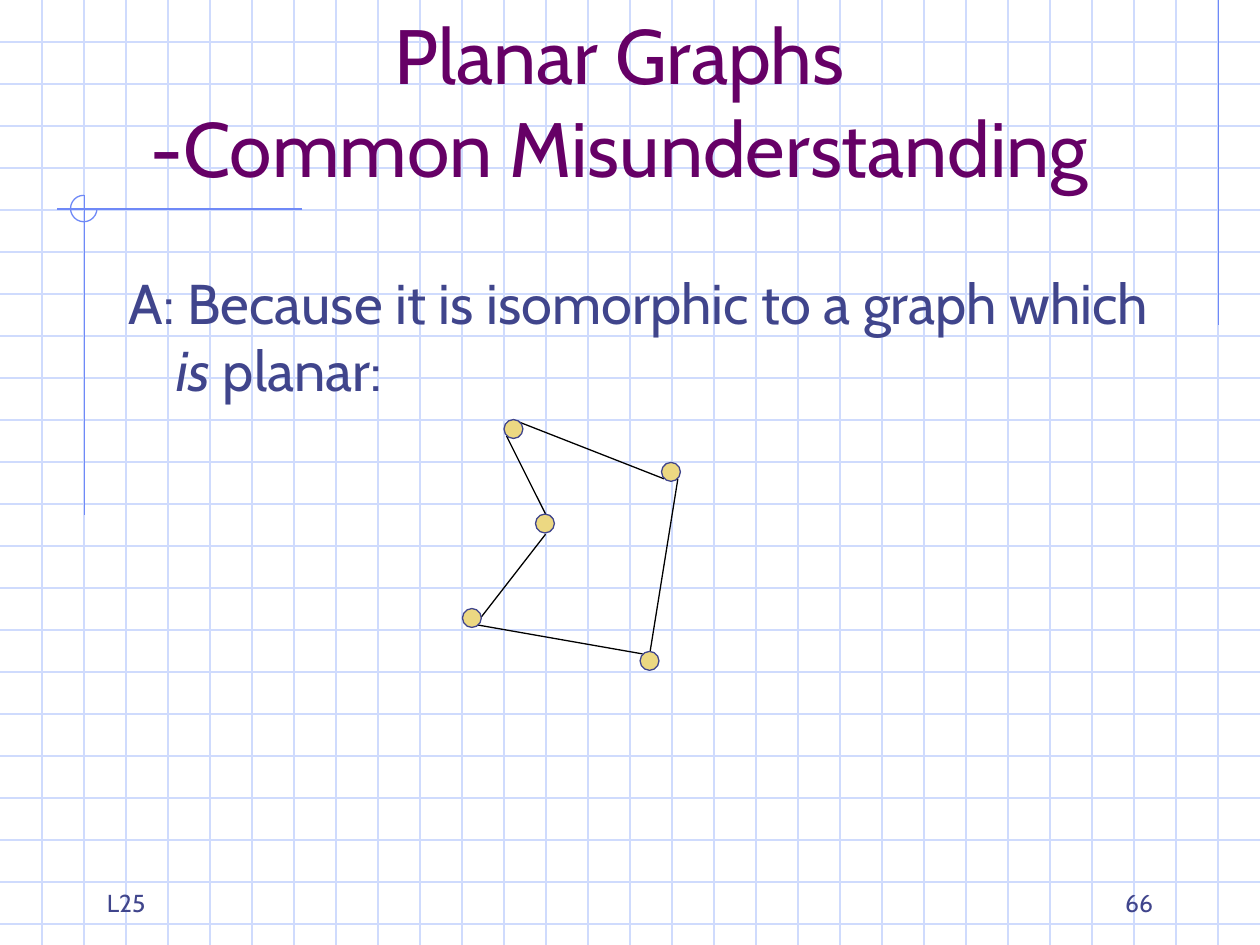
from lxml.etree import SubElement
from pptx import Presentation
from pptx.dml.color import RGBColor
from pptx.enum.shapes import MSO_CONNECTOR as Connector, MSO_SHAPE as Preset
from pptx.enum.text import MSO_ANCHOR as Anchor, MSO_AUTO_SIZE as AutoSize, PP_ALIGN as Align
from pptx.oxml.ns import qn
from pptx.util import Inches, Pt

WIDTH, HEIGHT, CELL = 10, 7.5, 1 / 3
FONT = "Cabin"
COLORS = {"grid": "CFDBFD", "accent": "6F89F7", "text": "40458C",
          "title": "660066", "node": "ECD882", "edge": "000000"}

TITLE_LINES = ["Planar Graphs", "-Common Misunderstanding"]
BODY_RUNS = [("A: Because it is isomorphic to a graph which ", False),
             ("is", True), (" planar:", False)]
FOOTERS = [("L25", 0.75, Align.LEFT), ("66", 7.17, Align.RIGHT)]
ACCENTS = [(9.67, 0, 9.67, 2.58), (2.4, 1.66, 0.45, 1.66), (0.67, 1.55, 0.67, 4.09)]
NODE_SIZE = 0.15
NODES = [(3.67, 4.83), (4.25, 4.08), (4, 3.33), (5.08, 5.17), (5.25, 3.67)]
EDGES = [(3.81, 4.91, 4.33, 4.24), (4.02, 3.46, 4.33, 4.08), (5.1, 5.19, 3.79, 4.96),
         (5.27, 3.8, 4.07, 3.33), (5.38, 3.8, 5.16, 5.17)]


def color(key):
    """Return the named colour."""
    return RGBColor.from_string(COLORS[key])


def draw_line(slide, ends, key):
    """Draw a thin straight line between two points."""
    line = slide.shapes.add_connector(Connector.STRAIGHT, *map(Inches, ends))
    line.line.color.rgb = color(key)
    line.line.width = Pt(0.75)
    SubElement(line._element.spPr, qn("a:effectLst"))


def draw_round(slide, preset, left, top, size, line_key, fill_key=None):
    """Draw a circle or arc with a thin outline."""
    shape = slide.shapes.add_shape(preset, *map(Inches, (left, top, size, size)))
    shape.shadow.inherit = False
    shape.line.color.rgb = color(line_key)
    shape.line.width = Pt(0.75)
    if fill_key:
        shape.fill.solid()
        shape.fill.fore_color.rgb = color(fill_key)
    else:
        shape.fill.background()
    return shape


def add_run(paragraph, text, size, key, italic=False):
    """Add one formatted run."""
    run = paragraph.add_run()
    run.text = text
    run.font.name = FONT
    run.font.size = Pt(size)
    run.font.italic = italic
    run.font.color.rgb = color(key)


def prepare(box, left, top, width, height, anchor):
    """Place a text holder and return its first paragraph."""
    box.left, box.top, box.width, box.height = map(Inches, (left, top, width, height))
    frame = box.text_frame
    frame.word_wrap = True
    frame.auto_size = AutoSize.NONE
    frame.vertical_anchor = anchor
    return frame.paragraphs[0]


def draw_background(slide):
    """Draw the squared paper and its accent lines."""
    for row in range(1, int(HEIGHT / CELL) + 1):
        draw_line(slide, (0, row * CELL, WIDTH, row * CELL), "grid")
    for column in range(1, round(WIDTH / CELL)):
        draw_line(slide, (column * CELL, 0, column * CELL, HEIGHT), "grid")
    for ends in ACCENTS:
        draw_line(slide, ends, "accent")
    arc = draw_round(slide, Preset.ARC, 0.56, 1.55, 0.21, "accent")
    arc.adjustments[0] = 0
    arc.adjustments[1] = 270 * 0.6


def write_text(slide):
    """Fill the footers, the title and the body."""
    for text, left, align in FOOTERS:
        footer = slide.shapes.add_textbox(0, 0, 0, 0)
        paragraph = prepare(footer, left, 6.83, 2.08, 0.5, Anchor.BOTTOM)
        paragraph.alignment = align
        add_run(paragraph, text, 14, "text")

    title, body = slide.placeholders
    for holder in (title, body):
        slide.shapes._spTree.append(holder._element)

    heading = prepare(title, 0.67, 0.33, 8.5, 1.25, Anchor.BOTTOM)
    heading.alignment = Align.CENTER
    for index, text in enumerate(TITLE_LINES):
        if index:
            heading.add_line_break()
        add_run(heading, text, 44, "title")

    answer = prepare(body, 0.92, 2.08, 8.5, 4.5, Anchor.TOP)
    properties = answer._p.get_or_add_pPr()
    properties.set("marL", str(Inches(0.38)))
    properties.set("indent", str(Inches(-0.38)))
    SubElement(properties, qn("a:buNone"))
    answer.space_before = Pt(0)
    for text, italic in BODY_RUNS:
        add_run(answer, text, 32, "text", italic)


def draw_graph(slide):
    """Draw the five-node cycle."""
    for ends in EDGES:
        draw_line(slide, ends, "edge")
    for left, top in NODES:
        draw_round(slide, Preset.OVAL, left, top, NODE_SIZE, "text", "node")


def main():
    """Build and save the slide."""
    deck = Presentation()
    deck.slide_width, deck.slide_height = Inches(WIDTH), Inches(HEIGHT)
    slide = deck.slides.add_slide(deck.slide_layouts[1])
    draw_background(slide)
    write_text(slide)
    draw_graph(slide)
    deck.save("out.pptx")


if __name__ == "__main__":
    main()
